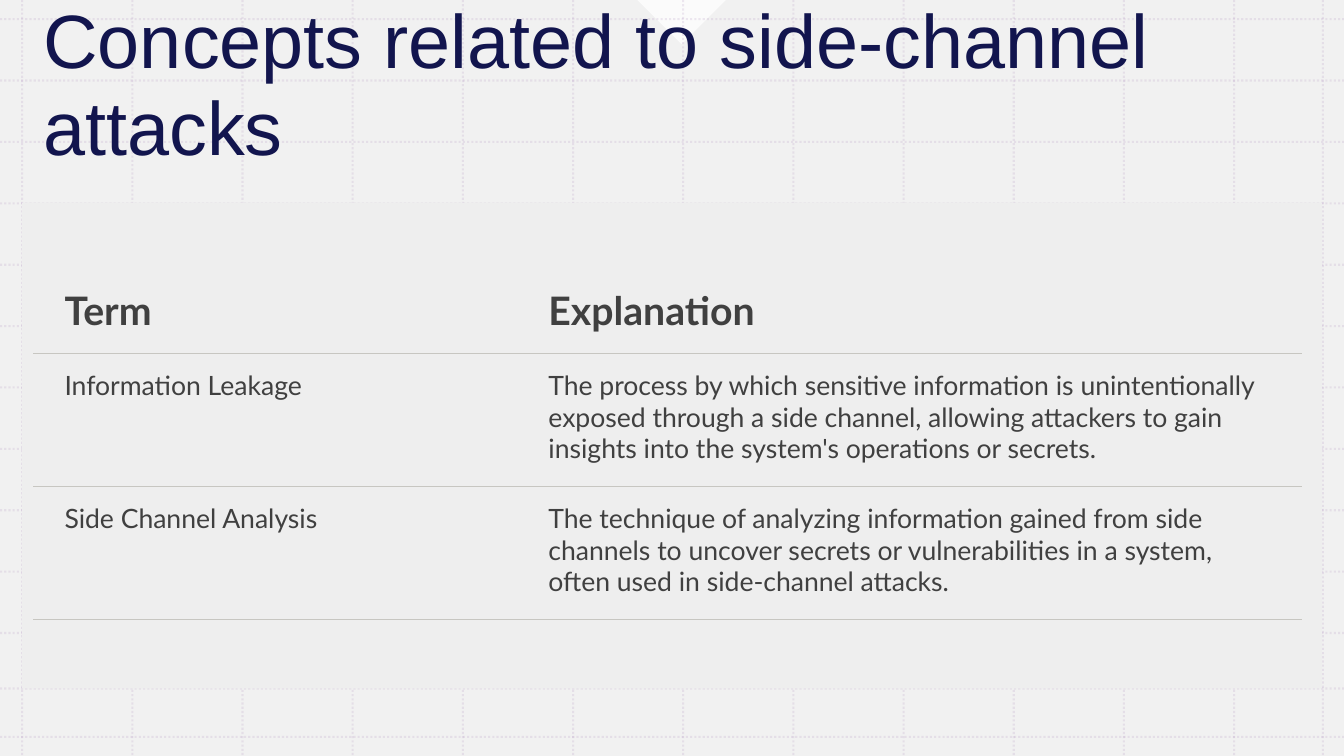
from lxml import etree
from pptx import Presentation
from pptx.dml.color import RGBColor
from pptx.enum import dml, shapes, text
from pptx.oxml import ns, parse_xml
from pptx.util import Inches, Pt

ROWS = [
    ("Term", "Explanation"),
    ("Information Leakage",
     "The process by which sensitive information is unintentionally exposed through a side channel, "
     "allowing attackers to gain insights into the system's operations or secrets."),
    ("Side Channel Analysis",
     "The technique of analyzing information gained from side channels to uncover secrets or "
     "vulnerabilities in a system, often used in side-channel attacks."),
]
NO_STYLE = "{2D5ABB26-0587-4C30-8999-92F81FD0307C}"


def rgb(color):
    return RGBColor.from_string(color)


def set_attrs(obj, values):
    for name, value in values.items():
        setattr(obj, name, value)


def set_alpha(element, percent):
    clr = next(element.iter(ns.qn("a:srgbClr")))
    etree.SubElement(clr, ns.qn("a:alpha")).set("val", str(percent * 1000))


def format_text(p, content, font, size, color, bold=False):
    r = p.add_run()
    r.text = content
    set_attrs(r.font, {"name": font, "size": Pt(size), "bold": bold})
    r.font.color.rgb = rgb(color)


def add_panel(s, kind, box, color, alpha=100, rotation=0):
    sp = s.shapes.add_shape(kind, *map(Inches, box))
    sp.shadow.inherit = False
    sp.rotation = rotation
    sp.fill.solid()
    sp.fill.fore_color.rgb = rgb(color)
    sp.line.fill.background()
    if alpha < 100:
        set_alpha(sp._element.spPr, alpha)


def add_grid_line(grp, x1, y1, x2, y2):
    ln = grp.shapes.add_connector(shapes.MSO_CONNECTOR.STRAIGHT, *map(Inches, (x1, y1, x2, y2)))
    ln.line.color.rgb = rgb("B495C2")
    set_attrs(ln.line, {"width": Pt(1.5), "dash_style": dml.MSO_LINE.ROUND_DOT})
    spPr = ln._element.spPr
    set_alpha(spPr, 20)
    etree.SubElement(spPr, ns.qn("a:effectLst"))


def add_grid(s):
    grp = s.shapes.add_group_shape()
    for x in [0.22 + i * 12.02 / 11 for i in range(12)] + [13.12]:
        add_grid_line(grp, x, 0, x, 7.5)
    for y in [0.19 + i * 0.609 for i in range(11)] + [6.83, 7.31]:
        add_grid_line(grp, 0, y, 13.34, y)


def place_title(s, content):
    title = s.shapes.title
    s.shapes._spTree.append(title._element)
    set_attrs(title, {"left": Inches(0.33), "top": Inches(0.37),
                      "width": Inches(12.58), "height": Inches(1.64)})
    tf = title.text_frame
    set_attrs(tf, {"word_wrap": True, "auto_size": text.MSO_AUTO_SIZE.NONE,
                   "vertical_anchor": text.MSO_ANCHOR.MIDDLE,
                   "margin_top": Inches(0.05), "margin_bottom": Inches(0.72)})
    p = tf.paragraphs[0]
    set_attrs(p, {"alignment": text.PP_ALIGN.LEFT, "line_spacing": 0.95})
    format_text(p, content, "Arial", 54, "12154E")


def add_bottom_border(cell):
    cell._tc.get_or_add_tcPr().insert(0, parse_xml(
        f'<a:lnB {ns.nsdecls("a")} w="9525"><a:solidFill><a:srgbClr val="C7C6C1"/>'
        '</a:solidFill></a:lnB>'))


def add_terms_table(s):
    frame = s.shapes.add_table(3, 2, *map(Inches, (0.33, 2.7, 12.58, 3.45)))
    tbl = frame.table
    tbl._tbl.tblPr.find(ns.qn("a:tableStyleId")).text = NO_STYLE
    set_attrs(tbl, {"horz_banding": False, "first_row": False})
    for col, width in zip(tbl.columns, (4.8, 7.78)):
        col.width = Inches(width)
    for i, (row, height) in enumerate(zip(tbl.rows, (0.81, 1.32, 1.32))):
        row.height = Inches(height)
        for cell, content in zip(row.cells, ROWS[i]):
            set_attrs(cell, {"margin_left": Inches(0.31), "margin_right": Inches(0.23),
                             "margin_top": Inches(0.15), "margin_bottom": Inches(0.15)})
            cell.fill.background()
            add_bottom_border(cell)
            header = i == 0
            format_text(cell.text_frame.paragraphs[0], content, "Lato",
                        28 if header else 19, "404040", header)


def main():
    prs = Presentation()
    set_attrs(prs, {"slide_width": Inches(13.33), "slide_height": Inches(7.5)})
    s = prs.slides.add_slide(prs.slide_layouts[5])
    rect = shapes.MSO_SHAPE.RECTANGLE
    add_panel(s, rect, (0, 0, 13.35, 7.5), "FFFFFF")
    add_panel(s, rect, (0, 0, 13.35, 7.5), "EEEEEE", 80)
    add_panel(s, shapes.MSO_SHAPE.RIGHT_TRIANGLE, (6.45, -0.31, 0.62, 0.62), "FFFFFF", 75, 315)
    add_grid(s)
    add_panel(s, rect, (0.22, 2.01, 12.89, 4.82), "EEEEEE")
    place_title(s, "Concepts related to side-channel attacks")
    add_terms_table(s)
    prs.save("out.pptx")


if __name__ == "__main__":
    main()
